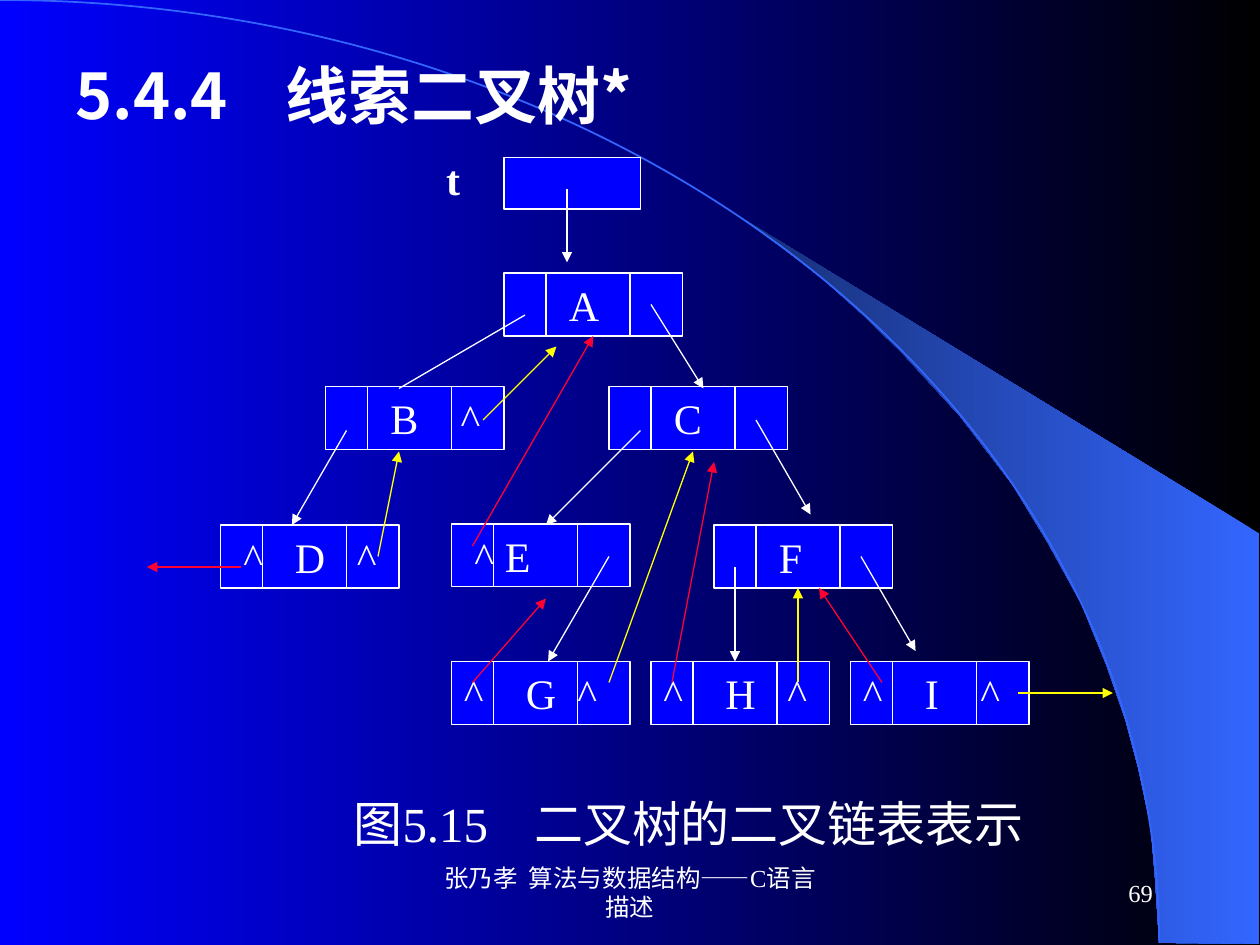
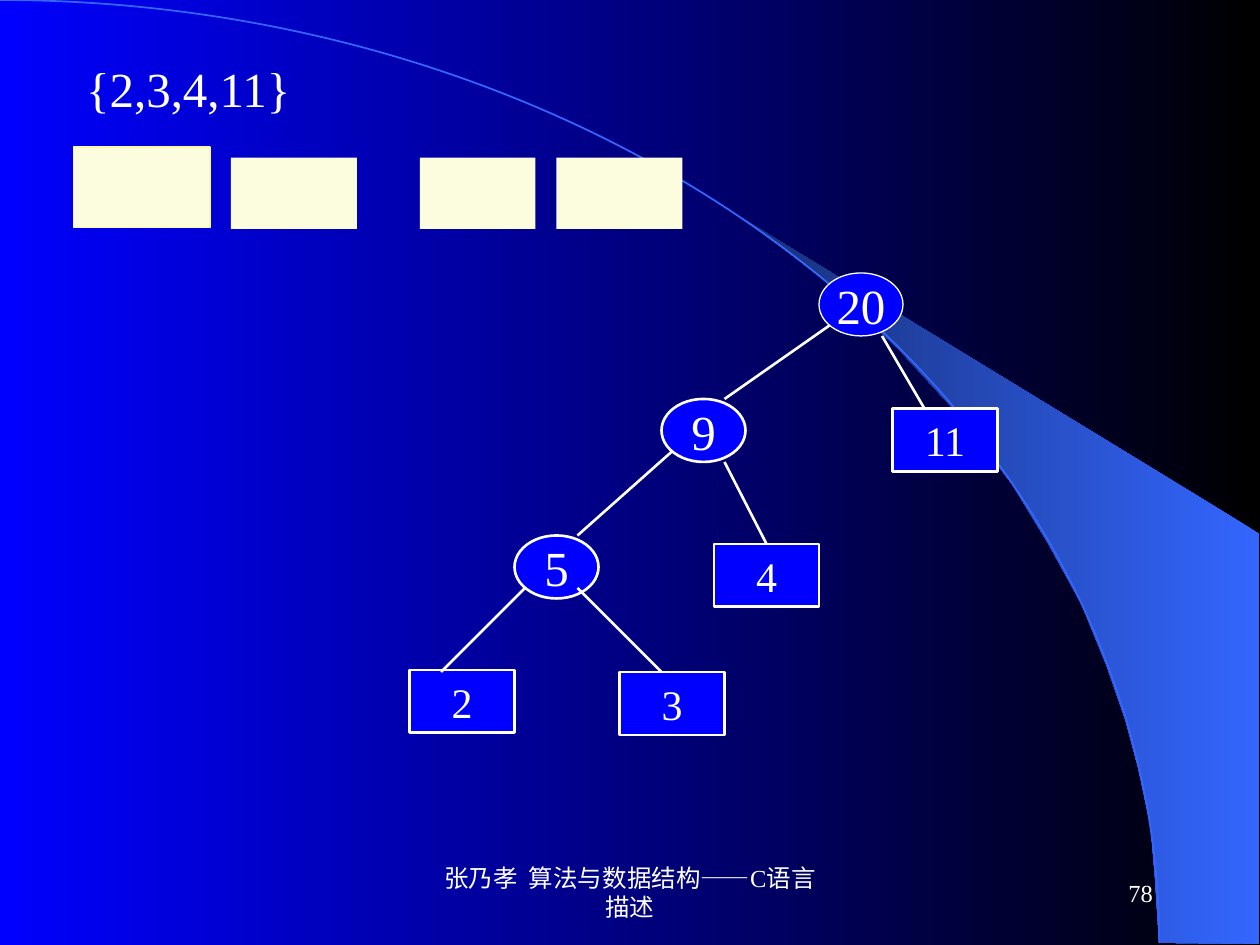
from dataclasses import dataclass
from lxml import etree
from pptx import Presentation
from pptx.dml.color import RGBColor
from pptx.enum.shapes import MSO_CONNECTOR, MSO_SHAPE as Kind
from pptx.enum.text import MSO_ANCHOR as Anchor, MSO_AUTO_SIZE as Fit, PP_ALIGN as Align
from pptx.oxml.ns import qn
from pptx.util import Pt

PX = 7620
WHITE = RGBColor(0xFF, 0xFF, 0xFF)
BLACK = RGBColor(0x00, 0x00, 0x00)
BLUE = RGBColor(0x00, 0x00, 0xFF)
SKY = RGBColor(0x33, 0x66, 0xFF)
NAVY = RGBColor(0x17, 0x2F, 0x75)
RED = RGBColor(0xFF, 0x00, 0x33)
YELLOW = RGBColor(0xFF, 0xFF, 0x00)
CREAM = RGBColor(0xFC, 0xFD, 0xDF)
STRAW = RGBColor(0xF7, 0xF9, 0xA5)
SERIF = "Times New Roman"
SANS = "Noto Sans CJK SC"
FOOTER = "张乃孝  算法与数据结构——C语言描述"

BAND = [(1104, 898), (1199, 899), (1199, 508), (707, 208), (749, 239), (784, 266),
        (822, 300), (859, 336), (914, 396), (964, 461), (998, 517), (1030, 575),
        (1054, 634), (1072, 686), (1084, 731), (1096, 787), (1100, 835)]

NODES = {
    "A": (340, 120, "\tA", (50,)),
    "B": (170, 228, "\tB\t^", (50, 117)),
    "C": (440, 228, "\tC", (50,)),
    "D": (70, 360, "\t^\tD\t^", (10, 59, 118)),
    "E": (290, 359, "\t^\tE", (10, 39)),
    "F": (540, 360, "\tF", (50,)),
    "G": (290, 490, "^\tG\t^", (59, 108)),
    "H": (480, 490, "^\tH\t^", (59, 118)),
    "I": (670, 490, "^\tI\t^", (59, 112)),
}
LINKS = {
    WHITE: [(190, 270, 138, 360), (480, 150, 530, 230), (470, 270, 380, 360),
            (580, 260, 632, 350), (440, 390, 382, 490), (560, 400, 560, 490),
            (680, 390, 732, 480), (400, 40, 400, 110)],
    RED: [(90, 400, 0, 400), (310, 510, 380, 430), (500, 510, 540, 300),
          (700, 510, 640, 420)],
    YELLOW: [(220, 390, 240, 290), (320, 260, 390, 190), (440, 510, 520, 290),
             (620, 510, 620, 420), (830, 520, 920, 520)],
}

OVALS = [("5", 100, 250, 1.5), ("9", 240, 120, 1.5), ("20", 390, 0, 0.75)]
LEAVES = [("2", 0, 378), ("3", 200, 380), ("4", 290, 258), ("11", 460, 129)]
EDGES = [(110, 300, 30, 380), (160, 300, 240, 380), (250, 170, 160, 250),
         (400, 50, 300, 120), (450, 60, 491, 130)]


def write(shape, text, size, align=Align.LEFT, anchor=Anchor.TOP,
          font=SERIF, bold=False, stops=(), wrap=True):
    frame = shape.text_frame
    frame.auto_size = Fit.NONE
    frame.word_wrap = wrap
    frame.vertical_anchor = anchor
    frame.text = text
    para = frame.paragraphs[0]
    props = para._p.get_or_add_pPr()
    if stops:
        tabs = etree.Element(qn("a:tabLst"))
        for stop in stops:
            etree.SubElement(tabs, qn("a:tab"), pos=str(stop * PX), algn="l")
        props.insert(0, tabs)
    para.alignment = align
    para.font.size = Pt(size)
    para.font.bold = bold
    para.font.name = font
    para.font.color.rgb = WHITE
    etree.SubElement(props.find(qn("a:defRPr")), qn("a:ea"), typeface=SANS)


def paint(shape, fill=None, line=None, width=0.75):
    shape.shadow.inherit = False
    if fill is None:
        shape.fill.background()
    else:
        shape.fill.solid()
        shape.fill.fore_color.rgb = fill
    if line is None:
        shape.line.fill.background()
    else:
        shape.line.color.rgb = line
        shape.line.width = Pt(width)


def shade(fill, first, last):
    fill.gradient()
    fill.gradient_angle = 180
    for stop, color in zip(fill.gradient_stops, (first, last)):
        stop.color.rgb = color


@dataclass
class Pane:
    slide: object
    left: int = 0
    top: int = 0

    def place(self, x, y):
        return (self.left + x) * PX, (self.top + y) * PX

    def shape(self, box, kind=Kind.RECTANGLE, fill=BLUE, line=WHITE, width=0.75):
        x, y, w, h = box
        item = self.slide.shapes.add_shape(kind, *self.place(x, y), w * PX, h * PX)
        paint(item, fill, line, width)
        return item

    def text(self, box, words, size, **style):
        x, y, w, h = box
        item = self.slide.shapes.add_textbox(*self.place(x, y), w * PX, h * PX)
        write(item, words, size, **style)

    def line(self, ends, color=WHITE, width=0.75, arrow=False):
        item = self.slide.shapes.add_connector(
            MSO_CONNECTOR.STRAIGHT, *self.place(*ends[:2]), *self.place(*ends[2:]))
        item.line.color.rgb = color
        item.line.width = Pt(width)
        if arrow:
            etree.SubElement(item.line._get_or_add_ln(), qn("a:tailEnd"), type="triangle")
        etree.SubElement(item._element.spPr, qn("a:effectLst"))
        return item


def dress(slide):
    layout = slide.slide_layout
    shade(layout.background.fill, BLACK, BLUE)
    path = slide.shapes.build_freeform(*BAND[0], scale=PX)
    path.add_line_segments(BAND[1:], close=True)
    band = path.convert_to_shape()
    paint(band)
    shade(band.fill, SKY, NAVY)
    arc = Pane(slide).shape((-1104, 0, 2208, 1796), Kind.ARC, None, SKY, 1)
    tree = layout.shapes.element
    for spot, item in enumerate((band, arc), 2):
        tree.insert(spot, item.element)


def title(slide, box, words, size, **style):
    head = slide.shapes.title
    head.left, head.top, head.width, head.height = (n * PX for n in box)
    write(head, words, size, **style)


def footer(pane, number):
    pane.text((0, 0, 380, 60), FOOTER, 14, align=Align.CENTER, anchor=Anchor.MIDDLE)
    pane.text((450, 0, 250, 60), number, 14, align=Align.RIGHT, anchor=Anchor.MIDDLE)


def node(pane, x, y, words, stops):
    cell = pane.shape((x, y, 170, 60))
    write(cell, words, 24, stops=stops)
    for step in (40, 120):
        pane.line((x + step, y, x + step, y + 60))
    return cell


def threads(pane):
    pane.text((200, 0, 110, 60), "t", 24, align=Align.RIGHT, bold=True)
    pane.shape((340, 10, 130, 49))
    cells = {name: node(pane, *spec) for name, spec in NODES.items()}
    pane.line((360, 160, 240, 230))
    for color, links in LINKS.items():
        for ends in links:
            pane.line(ends, color, arrow=True)
    back = pane.line((310, 380, 425, 180), RED, arrow=True)
    back.end_connect(cells["A"], 2)


def cards(pane):
    pane.shape((0, 0, 130, 77), fill=CREAM, line=STRAW)
    for x, w in ((150, 120), (330, 110), (460, 120)):
        pane.shape((x, 10, w, 68), fill=CREAM, line=None)


def huffman(pane):
    for words, x, y, width in OVALS:
        oval = pane.shape((x, y, 80, 60), Kind.OVAL, width=width)
        write(oval, words, 28, Align.CENTER, Anchor.MIDDLE, wrap=False)
    leaves = {}
    for words, x, y in LEAVES:
        leaves[words] = pane.shape((x, y, 100, 60), width=1.5)
        write(leaves[words], words, 24, Align.CENTER)
    for ends in EDGES:
        pane.line(ends, width=1.5)
    pane.line((300, 180, 340, 258), width=1.5).end_connect(leaves["4"], 0)


def main():
    deck = Presentation()
    deck.slide_width, deck.slide_height = 1200 * PX, 900 * PX
    layout = deck.slide_layouts[5]

    first = deck.slides.add_slide(layout)
    dress(first)
    title(first, (60, 50, 1020, 80), "5.4.4\t线索二叉树*", 36, anchor=Anchor.MIDDLE,
          font=SANS, bold=True, stops=(200,))
    threads(Pane(first, 140, 140))
    Pane(first, 230, 750).text((0, 0, 780, 125), "\t图5.15\t二叉树的二叉链表表示", 28,
                               stops=(95, 267))
    footer(Pane(first, 410, 820), "69")

    second = deck.slides.add_slide(layout)
    title(second, (70, 50, 1080, 68), "{2,3,4,11}", 28)
    cards(Pane(second, 70, 140))
    huffman(Pane(second, 390, 260))
    footer(Pane(second, 410, 820), "78")

    deck.save("out.pptx")


if __name__ == "__main__":
    main()
